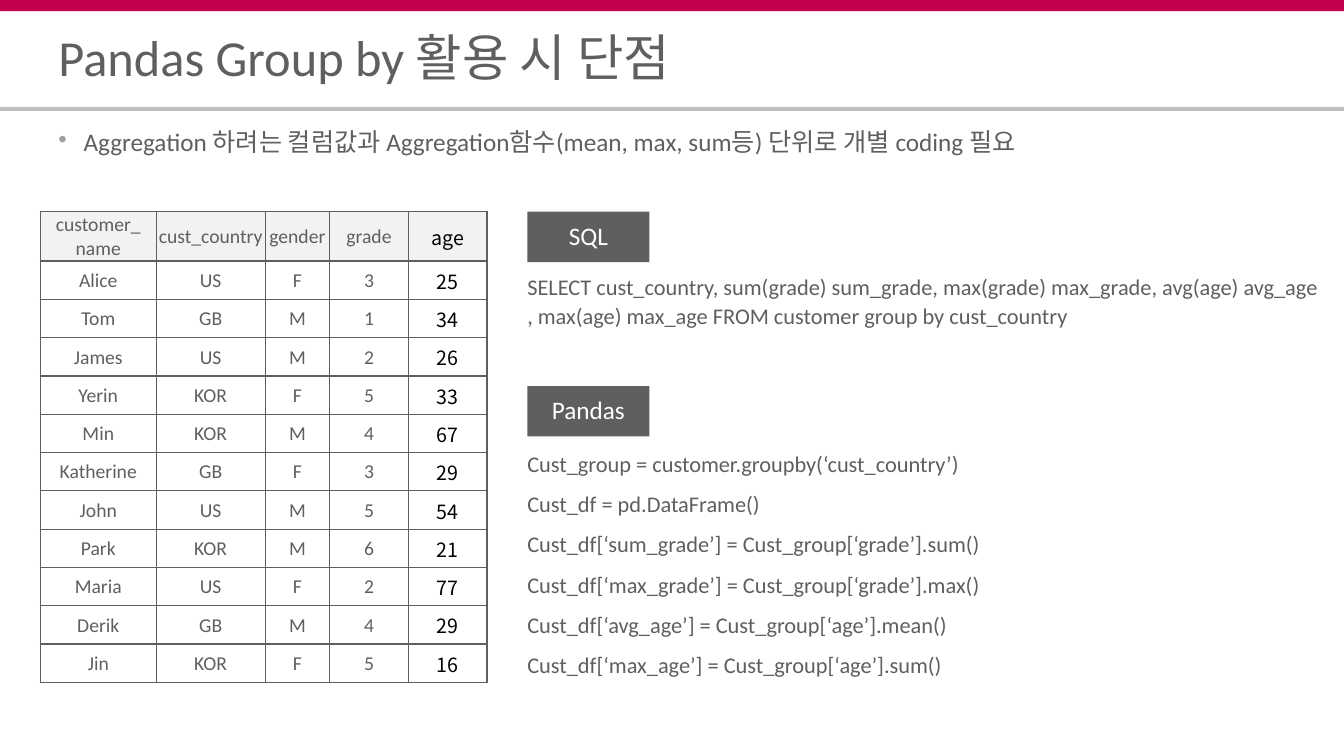
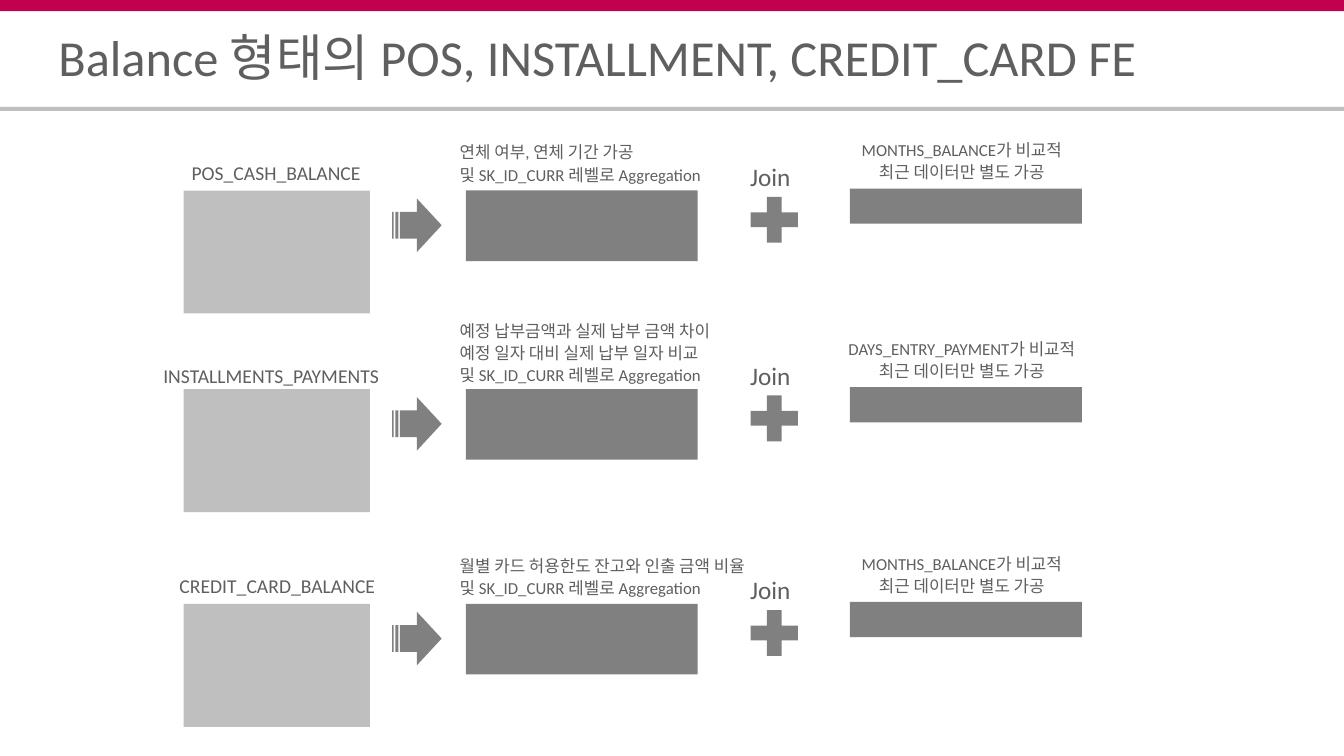
from lxml import etree
from pptx import Presentation
from pptx import util as u
from pptx.dml import color
from pptx.enum import shapes, text
from pptx.oxml import ns

COLORS = {
    "accent": "C3004D", "text": "5F5F5F", "bullet": "9F9F9F", "light": "BFBFBF",
    "dark": "808080", "header": "F2F2F2", "white": "FFFFFF", "black": "000000",
}
FONT = "Calibri"
NUMBER_FONT = "Noto Sans CJK KR"
LEFT, CENTER = text.PP_ALIGN.LEFT, text.PP_ALIGN.CENTER
MIDDLE = text.MSO_ANCHOR.MIDDLE
SHAPE = shapes.MSO_SHAPE

CUSTOMER_COLUMNS = [1.15, 1.08, 0.64, 0.78, 0.78]
CUSTOMERS = [
    ("customer_\nname", "cust_country", "gender", "grade", "age"),
    ("Alice", "US", "F", 3, 25),
    ("Tom", "GB", "M", 1, 34),
    ("James", "US", "M", 2, 26),
    ("Yerin", "KOR", "F", 5, 33),
    ("Min", "KOR", "M", 4, 67),
    ("Katherine", "GB", "F", 3, 29),
    ("John", "US", "M", 5, 54),
    ("Park", "KOR", "M", 6, 21),
    ("Maria", "US", "F", 2, 77),
    ("Derik", "GB", "M", 4, 29),
    ("Jin", "KOR", "F", 5, 16),
]
SQL_LINES = [
    "SELECT cust_country, sum(grade) sum_grade, max(grade) max_grade, avg(age) avg_age",
    ", max(age) max_age FROM customer group by cust_country",
]
PANDAS_LINES = [
    "Cust_group = customer.groupby(‘cust_country’)",
    "Cust_df = pd.DataFrame()",
    "Cust_df[‘sum_grade’] = Cust_group[‘grade’].sum()",
    "Cust_df[‘max_grade’] = Cust_group[‘grade’].max()",
    "Cust_df[‘avg_age’] = Cust_group[‘age’].mean()",
    "Cust_df[‘max_age’] = Cust_group[‘age’].sum()",
]
AGGREGATION = "및 SK_ID_CURR 레벨로 Aggregation"
# Row top, source table, its label position in the row, feature notes, date column
BALANCE_ROWS = [
    (1.89, "POS_CASH_BALANCE", (0.08, -0.32),
     ["연체 여부, 연체 기간 가공", AGGREGATION], "MONTHS_BALANCE"),
    (3.86, "INSTALLMENTS_PAYMENTS", (-0.2, -0.27),
     ["예정 납부금액과 실제 납부 금액 차이", "예정 일자 대비 실제 납부 일자 비교", AGGREGATION],
     "DAYS_ENTRY_PAYMENT"),
    (5.99, "CREDIT_CARD_BALANCE", (-0.04, -0.32),
     ["월별 카드 허용한도 잔고와 인출 금액 비율", AGGREGATION], "MONTHS_BALANCE"),
]


def rgb(name):
    return color.RGBColor.from_string(COLORS[name])


def add_bullet(paragraph):
    properties = paragraph._p.get_or_add_pPr()
    properties.set("marL", str(u.Inches(0.25)))
    properties.set("indent", str(-u.Inches(0.25)))
    bullet_color = etree.SubElement(properties, ns.qn("a:buClr"))
    etree.SubElement(bullet_color, ns.qn("a:srgbClr"), val=COLORS["bullet"])
    etree.SubElement(properties, ns.qn("a:buChar"), char="•")


def write(frame, lines, size, tint="text", align=LEFT, spacing=1.0, font=FONT,
          bullet=False):
    """Fill a text frame with one paragraph per line."""
    frame.text = "\n".join(lines)
    for paragraph in frame.paragraphs:
        paragraph.alignment = align
        paragraph.line_spacing = spacing
        if bullet:
            add_bullet(paragraph)
        paragraph.font.size = u.Pt(size)
        paragraph.font.name = font
        paragraph.font.color.rgb = rgb(tint)


def add_text(slide, box, lines, size, anchor=text.MSO_ANCHOR.TOP, **style):
    frame = slide.shapes.add_textbox(*map(u.Inches, box)).text_frame
    frame.margin_left = frame.margin_right = frame.margin_top = frame.margin_bottom = 0
    frame.word_wrap = True
    frame.vertical_anchor = anchor
    write(frame, lines, size, **style)


def add_block(slide, box, fill, kind=SHAPE.RECTANGLE):
    shape = slide.shapes.add_shape(kind, *map(u.Inches, box))
    shape.shadow.inherit = False
    shape.fill.solid()
    shape.fill.fore_color.rgb = rgb(fill)
    shape.line.fill.background()
    return shape


def add_base_slide(presentation, title):
    """Blank slide with the two bands and the title."""
    slide = presentation.slides.add_slide(presentation.slide_layouts[6])
    add_block(slide, (0, 0, 13.33, 0.11), "accent")
    add_block(slide, (0, 1.06, 13.33, 0.04), "light")
    add_text(slide, (0.58, 0.33, 12.17, 0.58), [title], 36, anchor=MIDDLE, spacing=0.8)
    return slide


def add_borders(cell):
    properties = cell._tc.get_or_add_tcPr()
    for side in ("lnL", "lnR", "lnT", "lnB"):
        line = etree.SubElement(properties, ns.qn(f"a:{side}"), w=str(u.Pt(1)))
        fill = etree.SubElement(line, ns.qn("a:solidFill"))
        etree.SubElement(fill, ns.qn("a:srgbClr"), val=COLORS["text"])


def add_customer_table(slide, left, top):
    header_height, row_height = 0.49, 0.38
    height = header_height + row_height * (len(CUSTOMERS) - 1)
    table = slide.shapes.add_table(
        len(CUSTOMERS), len(CUSTOMER_COLUMNS), u.Inches(left), u.Inches(top),
        u.Inches(sum(CUSTOMER_COLUMNS)), u.Inches(height)).table
    table.first_row = table.horz_banding = False
    for column, width in zip(table.columns, CUSTOMER_COLUMNS):
        column.width = u.Inches(width)
    for r, values in enumerate(CUSTOMERS):
        table.rows[r].height = u.Inches(row_height if r else header_height)
        for c, value in enumerate(values):
            cell = table.cell(r, c)
            cell.margin_left = cell.margin_right = cell.margin_top = u.Inches(0.01)
            cell.margin_bottom = 0
            cell.vertical_anchor = MIDDLE
            is_age = c == len(values) - 1
            write(cell.text_frame, [str(value)], 14, "black" if is_age else "text",
                  CENTER, font=NUMBER_FONT if is_age else FONT)
            add_borders(cell)
            if r:
                cell.fill.background()
            else:
                cell.fill.solid()
                cell.fill.fore_color.rgb = rgb("header")


def add_code_section(slide, left, top, heading, lines, gap, size, spacing):
    """Heading tag with code below it; size is the code box."""
    tag = add_block(slide, (left, top, 1.21, 0.5), "text")
    tag.text_frame.vertical_anchor = MIDDLE
    write(tag.text_frame, [heading], 18, "white", CENTER, 0.9)
    add_text(slide, (left, top + 0.5 + gap, *size), lines, 16, spacing=spacing)


def add_balance_row(slide, left, top, source, label_offset, notes, date_column):
    """Source table -> aggregated features + recent data."""
    # Source table
    add_block(slide, (left, top, 1.85, 1.22), "light")
    label_x, label_y = label_offset
    add_text(slide, (left + label_x, top + label_y, 2.4, 0.27), [source], 14, spacing=1.1)
    add_block(slide, (left + 2.07, top + 0.08, 0.49, 0.53), "dark",
              SHAPE.STRIPED_RIGHT_ARROW)
    # Aggregated features
    add_block(slide, (left + 2.8, top, 2.3, 0.7), "dark")
    notes_height = 0.1 + 0.2 * len(notes)
    add_text(slide, (left + 2.74, top - notes_height, 3.1, notes_height), notes, 12,
             spacing=1.1)
    # Join
    add_text(slide, (left + 5.32, top - 0.32, 1, 0.31), ["Join"], 18,
             align=CENTER, spacing=1.1)
    add_block(slide, (left + 5.54, top - 0.02, 0.64, 0.62), "dark", SHAPE.MATH_PLUS)
    # Recent data
    add_block(slide, (left + 6.61, top - 0.02, 2.3, 0.35), "dark")
    add_text(slide, (left + 6.27, top - 0.52, 2.9, 0.5),
             [f"{date_column}가 비교적", "최근 데이터만 별도 가공"], 12,
             align=CENTER, spacing=1.1)


def build_group_by_slide(presentation):
    slide = add_base_slide(presentation, "Pandas Group by 활용 시 단점")
    add_text(
        slide, (0.58, 1.29, 12.17, 0.49),
        ["Aggregation 하려는 컬럼값과 Aggregation함수(mean, max, sum등) 단위로 개별 coding 필요"],
        18, spacing=0.9, bullet=True)
    add_customer_table(slide, 0.4, 2.1)
    add_code_section(slide, 5.23, 2.1, "SQL", SQL_LINES, 0.08, (8.1, 0.72), 1.1)
    add_code_section(slide, 5.23, 3.83, "Pandas", PANDAS_LINES, 0, (7.68, 2.33), 1.5)


def build_balance_slide(presentation):
    slide = add_base_slide(presentation, "Balance 형태의 POS, INSTALLMENT, CREDIT_CARD FE")
    for top, *parts in BALANCE_ROWS:
        add_balance_row(slide, 1.82, top, *parts)


def main():
    presentation = Presentation()
    presentation.slide_width = u.Inches(13.33)
    presentation.slide_height = u.Inches(7.5)
    build_group_by_slide(presentation)
    build_balance_slide(presentation)
    presentation.save("out.pptx")


if __name__ == "__main__":
    main()
